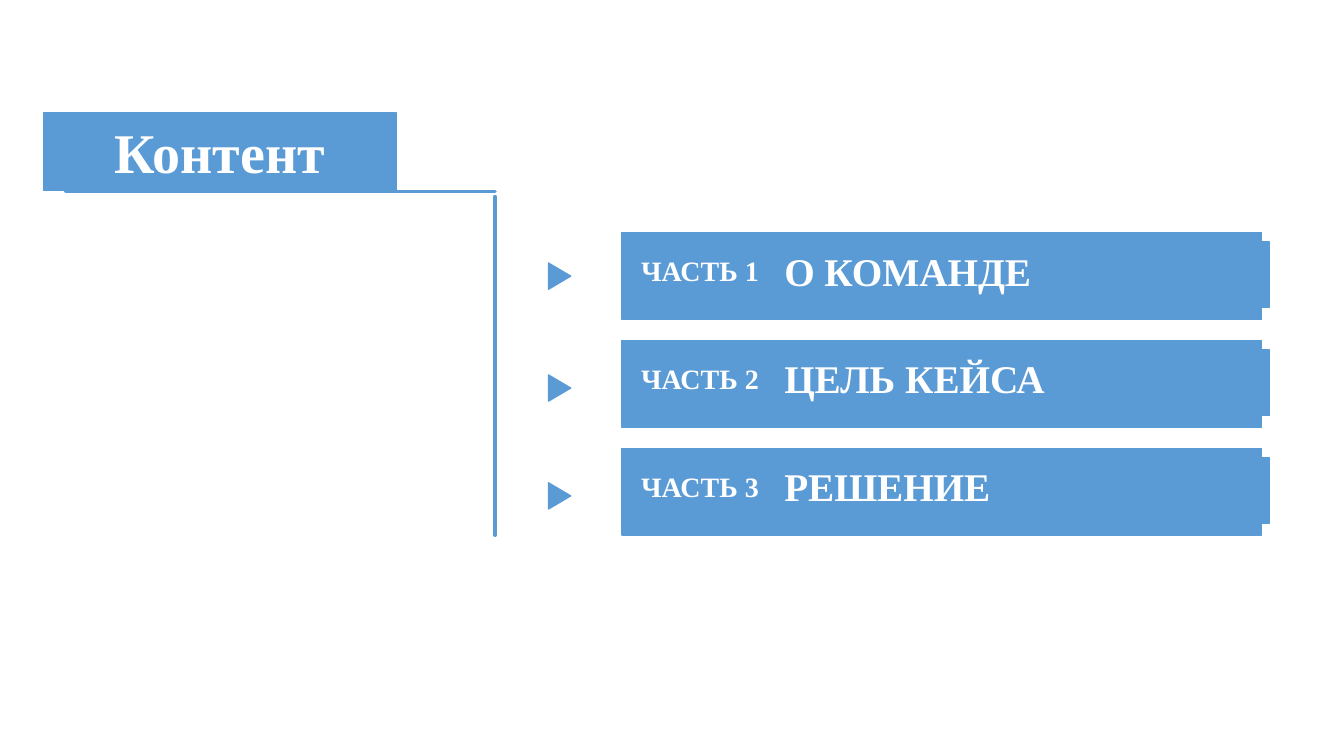
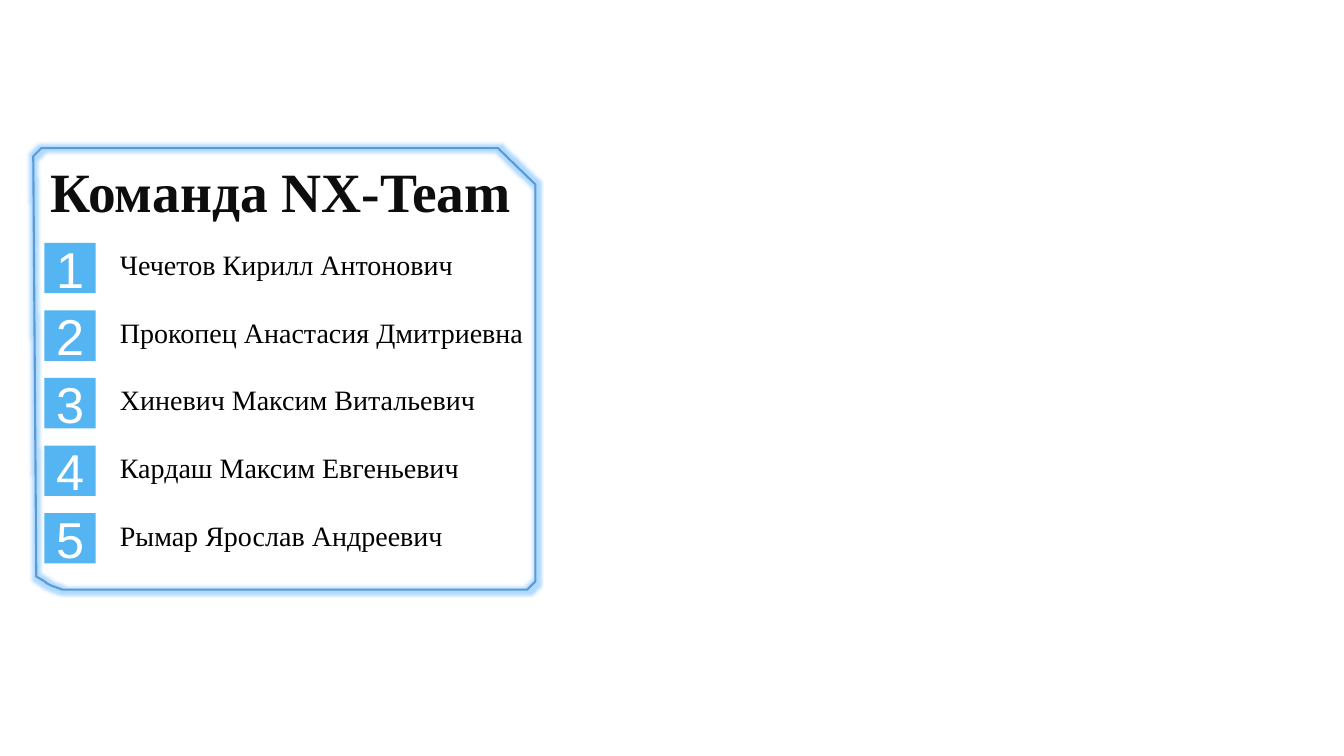
from lxml.etree import SubElement
from pptx import Presentation
from pptx.dml.color import RGBColor
from pptx.enum.shapes import MSO_CONNECTOR, MSO_SHAPE
from pptx.enum.text import MSO_ANCHOR, MSO_AUTO_SIZE, PP_ALIGN
from pptx.oxml.ns import qn
from pptx.util import Inches, Pt

# Content
HEAD = "Контент"
PARTS = [  # label, heading, top of the marker
    ("ЧАСТЬ 1", "О КОМАНДЕ", 2.63),
    ("ЧАСТЬ 2", "ЦЕЛЬ КЕЙСА", 3.74),
    ("ЧАСТЬ 3", "РЕШЕНИЕ", 4.81),
]
TEAM = "Команда NX-Team"
NAMES = [
    "Чечетов Кирилл Антонович",
    "Прокопец Анастасия Дмитриевна",
    "Хиневич Максим Витальевич",
    "Кардаш Максим Евгеньевич",
    "Рымар Ярослав Андреевич",
]
FRAME = [
    (0.41, 1.47), (4.94, 1.47), (5.31, 1.83), (5.31, 5.77), (5.23, 5.85),
    (0.62, 5.85), (0.51, 5.81), (0.47, 5.79), (0.43, 5.76), (0.36, 5.72),
    (0.33, 1.55),
]

# Shared style
BLUE = RGBColor(0x5B, 0x9B, 0xD5)
SKY = RGBColor(0x55, 0xB5, 0xF2)
WHITE = RGBColor(0xFF, 0xFF, 0xFF)
BLACK = RGBColor(0, 0, 0)
INK = RGBColor(0x0D, 0x0D, 0x0D)
GLOW = "3FA4FF"
SERIF, SANS = "Times New Roman", "Arial"
LEFT, MID = PP_ALIGN.LEFT, PP_ALIGN.CENTER
TOP, CENTER = MSO_ANCHOR.TOP, MSO_ANCHOR.MIDDLE


def write(shape, text, size, color, bold=False, font=SERIF, align=LEFT, anchor=TOP):
    frame = shape.text_frame
    frame.text = text
    frame.word_wrap = True
    frame.auto_size = MSO_AUTO_SIZE.NONE
    frame.vertical_anchor = anchor
    para = frame.paragraphs[0]
    para.alignment = align
    face = para.runs[0].font
    face.name, face.size, face.bold = font, Pt(size), bold
    face.color.rgb = color


def paint(shape, fill, line=None):
    shape.fill.solid()
    shape.fill.fore_color.rgb = fill
    if line:
        shape.line.color.rgb = line
        shape.line.width = Pt(1)
    else:
        shape.line.fill.background()


def block(shapes, box, fill, line=None, kind=MSO_SHAPE.RECTANGLE):
    shape = shapes.add_shape(kind, *map(Inches, box))
    shape.shadow.inherit = False
    paint(shape, fill, line)
    return shape


def rule(shapes, start, end, width):
    line = shapes.add_connector(MSO_CONNECTOR.STRAIGHT, *map(Inches, start + end))
    line.line.color.rgb = BLUE
    line.line.width = Pt(width)
    line.line._get_or_add_ln().set("cap", "rnd")
    SubElement(line._element.spPr, qn("a:effectLst"))


def title(slide, box, text, size, color, anchor):
    head = slide.shapes.title
    head.left, head.top, head.width, head.height = map(Inches, box)
    write(head, text, size, color, True, align=MID, anchor=anchor)
    return head


def contents(slide):
    shapes = slide.shapes
    head = title(slide, (0.43, 1.12, 3.5, 0.77), HEAD, 40, WHITE, TOP)
    paint(head, BLUE, BLUE)
    rule(shapes, (0.65, 1.9), (4.91, 1.9), 2.5)
    rule(shapes, (4.91, 1.95), (4.91, 5.31), 2.5)

    # One band per part
    left, first, step = 6.17, 2.31, 1.07
    for row, (label, text, mark) in enumerate(PARTS):
        top = first + row * step
        band = shapes.add_group_shape().shapes
        block(band, (left, top, 6.34, 0.86), BLUE, BLUE)
        name = block(band, (left + 1.51, top + 0.09, 4.91, 0.65), BLUE, BLUE)
        write(name, text, 28, WHITE, True)
        rule(band, (7.48, top + 0.09), (7.48, top + 0.77), 1)
        part = block(band, (left + 0.09, top + 0.04, 1.43, 0.67), BLUE, BLUE)
        write(part, label, 20, WHITE, True, anchor=CENTER)
        arrow = block(shapes, (5.42, mark, 0.26, 0.22), BLUE, BLUE,
                      MSO_SHAPE.ISOSCELES_TRIANGLE)
        arrow.rotation = 90


def team(slide):
    shapes = slide.shapes
    head = title(slide, (0.27, 1.46, 5.03, 0.95), TEAM, 39.6, INK, CENTER)
    head.text_frame.paragraphs[0].line_spacing = 0.9

    # Numbered names
    first, step = 2.41, 0.67
    for row, text in enumerate(NAMES):
        top = first + row * step
        tile = block(shapes, (0.44, top, 0.51, 0.5), SKY)
        write(tile, str(row + 1), 36, WHITE, font=SANS, align=MID, anchor=CENTER)
        name = shapes.add_textbox(*map(Inches, (1.09, top, 4.22, 0.5)))
        write(name, text, 20, BLACK)

    # Glowing frame
    start, *rest = [(Inches(x), Inches(y)) for x, y in FRAME]
    pen = shapes.build_freeform(*start)
    pen.add_line_segments(rest, close=True)
    frame = pen.convert_to_shape()
    frame.fill.background()
    frame.line.color.rgb = BLUE
    frame.line.width = Pt(1.5)
    frame.shadow.inherit = False
    effect = frame._element.spPr.find(qn("a:effectLst"))
    glow = SubElement(effect, qn("a:glow"), rad=str(Pt(5)))
    tint = SubElement(glow, qn("a:srgbClr"), val=GLOW)
    SubElement(tint, qn("a:alpha"), val="40000")


def main():
    deck = Presentation()
    deck.slide_width, deck.slide_height = Inches(13.33), Inches(7.5)
    for build in (contents, team):
        build(deck.slides.add_slide(deck.slide_layouts[5]))
    deck.save("out.pptx")


if __name__ == "__main__":
    main()
